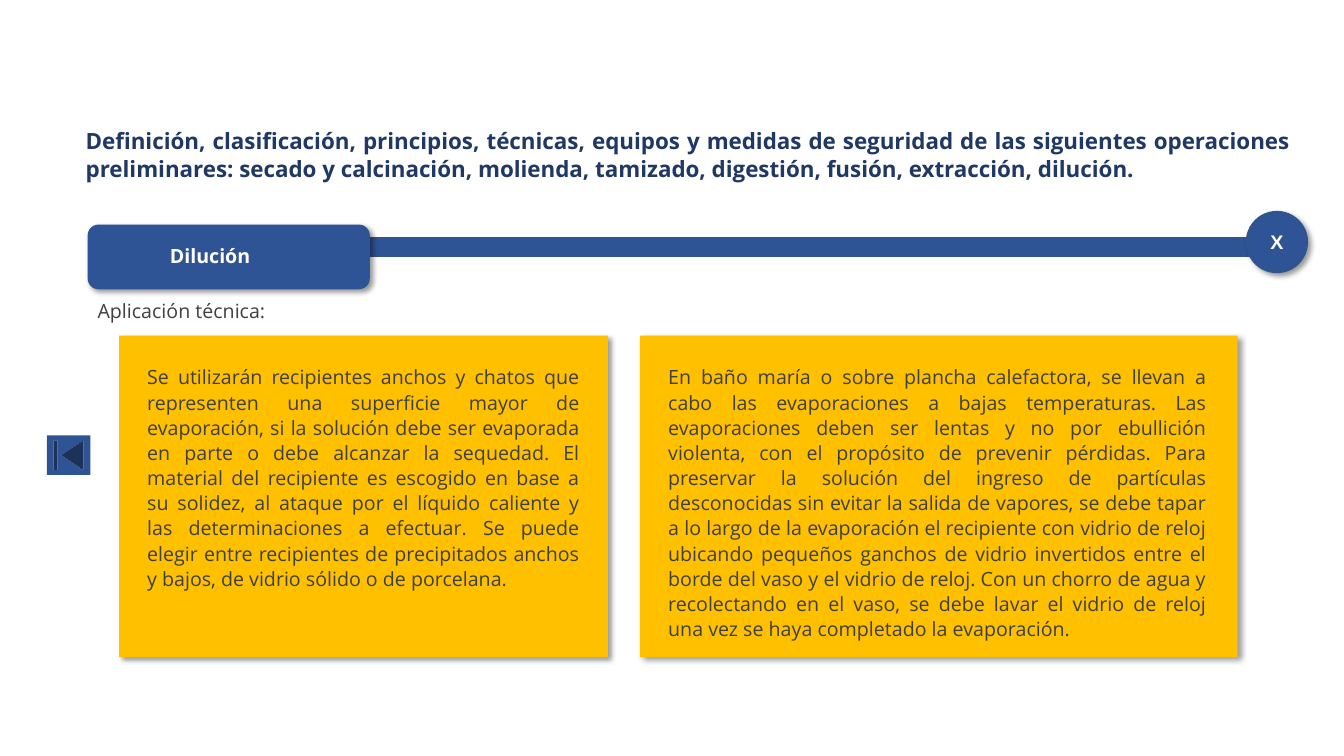
from lxml import etree
from pptx import Presentation
from pptx.dml.color import RGBColor
from pptx.enum.shapes import MSO_SHAPE
from pptx.enum.text import MSO_ANCHOR, PP_ALIGN
from pptx.oxml.ns import qn
from pptx.util import Cm, Pt

RECTANGLE = MSO_SHAPE.RECTANGLE
ROUNDED = MSO_SHAPE.ROUNDED_RECTANGLE
OVAL = MSO_SHAPE.OVAL
BACK_BUTTON = MSO_SHAPE.ACTION_BUTTON_BEGINNING
LEFT, CENTER, JUSTIFY = PP_ALIGN.LEFT, PP_ALIGN.CENTER, PP_ALIGN.JUSTIFY
MIDDLE = MSO_ANCHOR.MIDDLE

BLUE = RGBColor(0x2F, 0x54, 0x96)
EDGE = RGBColor(0x31, 0x53, 0x8F)
NAVY = RGBColor(0x1F, 0x38, 0x64)
GOLD = RGBColor(0xFF, 0xC0, 0x00)
GRAY = RGBColor(0x3F, 0x3F, 0x3F)
WHITE = RGBColor(0xFF, 0xFF, 0xFF)

TITLE = (
    "Definición, clasificación, principios, técnicas, equipos y medidas de seguridad "
    "de las siguientes operaciones preliminares: secado y calcinación, molienda, "
    "tamizado, digestión, fusión, extracción, dilución."
)
TOPIC = "Dilución"
SUBTITLE = "Aplicación técnica:"
CLOSE = "X"
CARDS = [
    {
        "width": 12.32,
        "text_width": 11.4,
        "text": "Se utilizarán recipientes anchos y chatos que representen una superficie "
        "mayor de evaporación, si la solución debe ser evaporada en parte o debe alcanzar "
        "la sequedad. El material del recipiente es escogido en base a su solidez, al "
        "ataque por el líquido caliente y las determinaciones a efectuar. Se puede elegir "
        "entre recipientes de precipitados anchos y bajos, de vidrio sólido o de porcelana.",
    },
    {
        "width": 15.06,
        "text_width": 14.07,
        "text": "En baño maría o sobre plancha calefactora, se llevan a cabo las "
        "evaporaciones a bajas temperaturas. Las evaporaciones deben ser lentas y no por "
        "ebullición violenta, con el propósito de prevenir pérdidas. Para preservar la "
        "solución del ingreso de partículas desconocidas sin evitar la salida de vapores, "
        "se debe tapar a lo largo de la evaporación el recipiente con vidrio de reloj "
        "ubicando pequeños ganchos de vidrio invertidos entre el borde del vaso y el "
        "vidrio de reloj. Con un chorro de agua y recolectando en el vaso, se debe lavar "
        "el vidrio de reloj una vez se haya completado la evaporación.",
    },
]
CARD_LEFT, CARD_TOP, CARD_HEIGHT, CARD_GAP = 3, 8.46, 8.1, 0.81
TEXT_INDENT, TEXT_DROP, TEXT_HEIGHT = 0.46, 0.58, 7.5


def write(box, text, size=14, color=GRAY, font="Open Sans", bold=False,
          align=JUSTIFY, spacing=None):
    box.text_frame.word_wrap = True
    para = box.text_frame.paragraphs[0]
    para.alignment = align
    if spacing:
        para.line_spacing = spacing
    span = para.add_run()
    span.text = text
    span.font.name = font
    span.font.size = Pt(size)
    span.font.bold = bold
    span.font.color.rgb = color


def add_text(page, area, text, **style):
    box = page.shapes.add_textbox(*map(Cm, area))
    write(box, text, **style)


def add_block(page, kind, area, color, edge=None, shadow=True):
    block = page.shapes.add_shape(kind, *map(Cm, area))
    block.fill.solid()
    block.fill.fore_color.rgb = color
    if edge:
        block.line.color.rgb = edge
        block.line.width = Pt(2)
    else:
        block.line.fill.background()
    block.shadow.inherit = False
    if shadow:
        effects = block._element.spPr.find(qn("a:effectLst"))
        outer = etree.SubElement(effects, qn("a:outerShdw"), blurRad=str(Pt(4)),
                                 dist=str(Pt(3)), dir="2700000", algn="tl",
                                 rotWithShape="0")
        black = etree.SubElement(outer, qn("a:srgbClr"), val="000000")
        etree.SubElement(black, qn("a:alpha"), val="40000")
    return block


def main():
    deck = Presentation()
    deck.slide_width, deck.slide_height = Cm(33.87), Cm(19.05)
    page = deck.slides.add_slide(deck.slide_layouts[6])

    add_block(page, RECTANGLE, (7.82, 6.02, 24.13, 0.43), BLUE, edge=EDGE, shadow=False)
    add_text(page, (1.91, 3.02, 30.86, 3.43), TITLE, size=16, color=NAVY, bold=True,
             spacing=1.07)
    add_text(page, (2.21, 7.42, 27.66, 0.86), SUBTITLE)
    add_block(page, ROUNDED, (2.21, 5.66, 7.11, 1.63), BLUE)
    add_text(page, (4.03, 6.02, 2.74, 1.45), TOPIC, color=WHITE, bold=True, align=LEFT)
    close = add_block(page, OVAL, (31.43, 5.35, 1.5, 1.5), BLUE, edge=EDGE)
    close.text_frame.vertical_anchor = MIDDLE
    write(close, CLOSE, color=WHITE, font="Arial", bold=True, align=CENTER)

    left = CARD_LEFT
    for card in CARDS:
        add_block(page, RECTANGLE, (left, CARD_TOP, card["width"], CARD_HEIGHT), GOLD)
        add_text(page, (left + TEXT_INDENT, CARD_TOP + TEXT_DROP, card["text_width"],
                        TEXT_HEIGHT), card["text"], spacing=1.07)
        left += card["width"] + CARD_GAP

    add_block(page, BACK_BUTTON, (1.18, 10.97, 1.1, 1), BLUE, shadow=False)
    deck.save("out.pptx")


if __name__ == "__main__":
    main()
